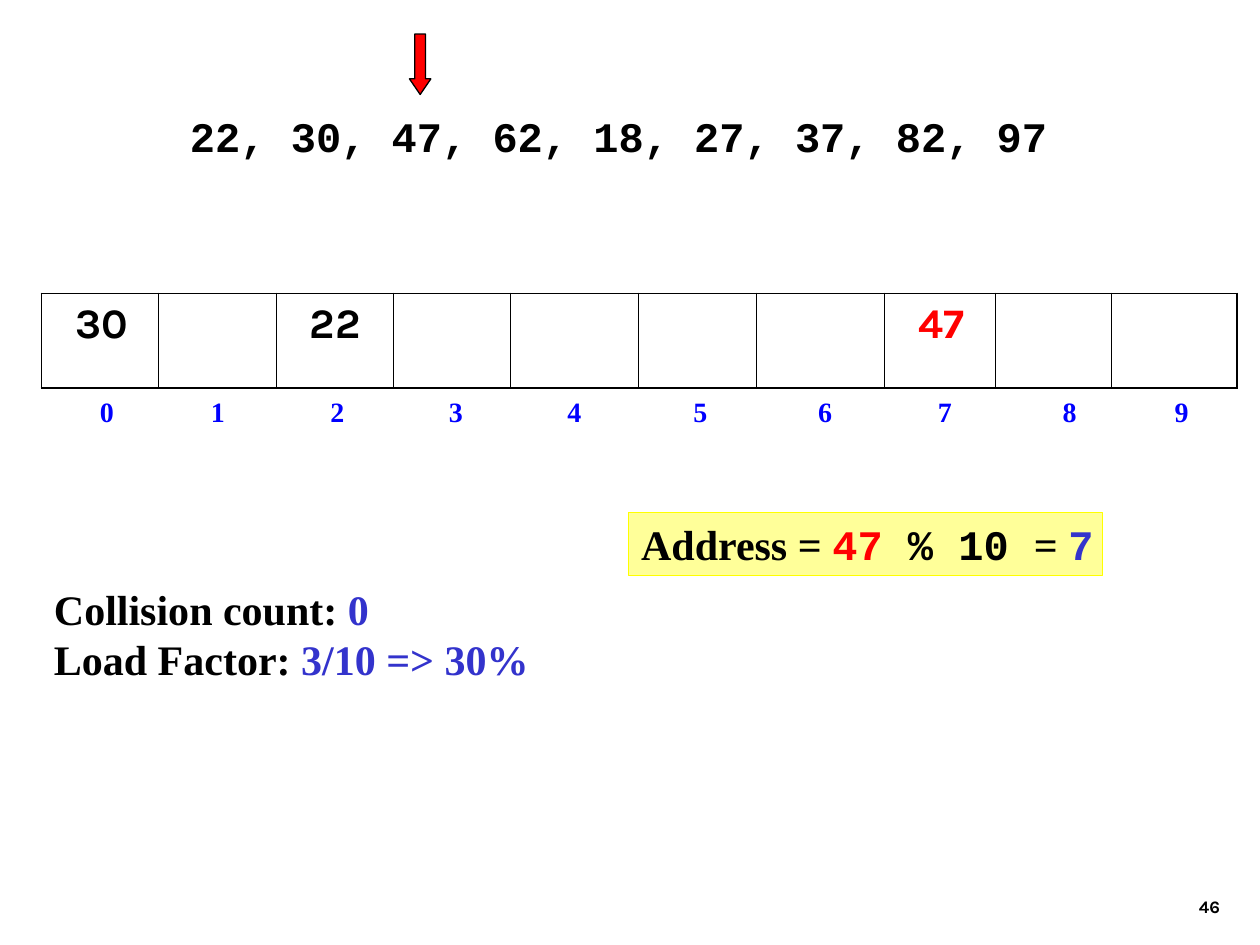
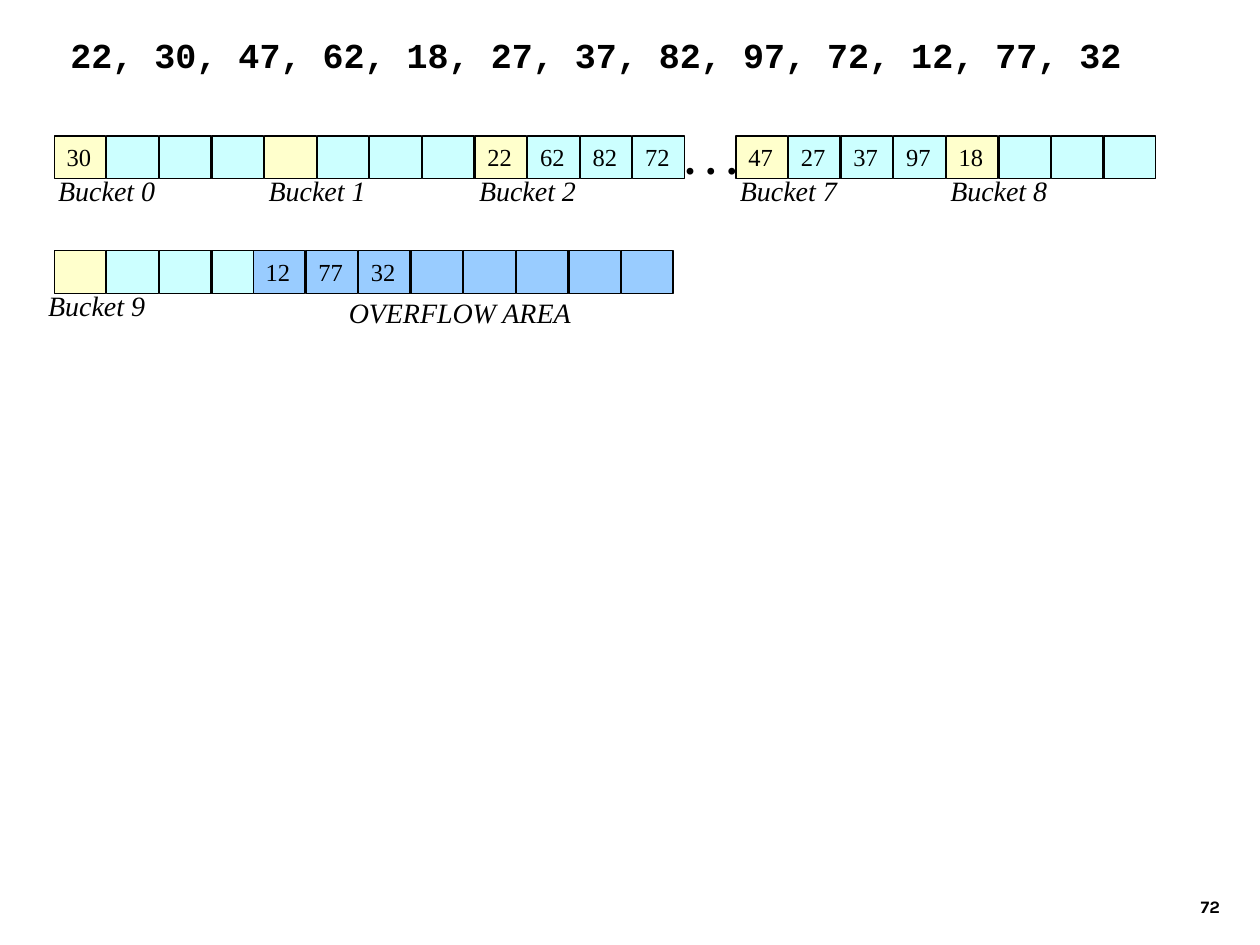
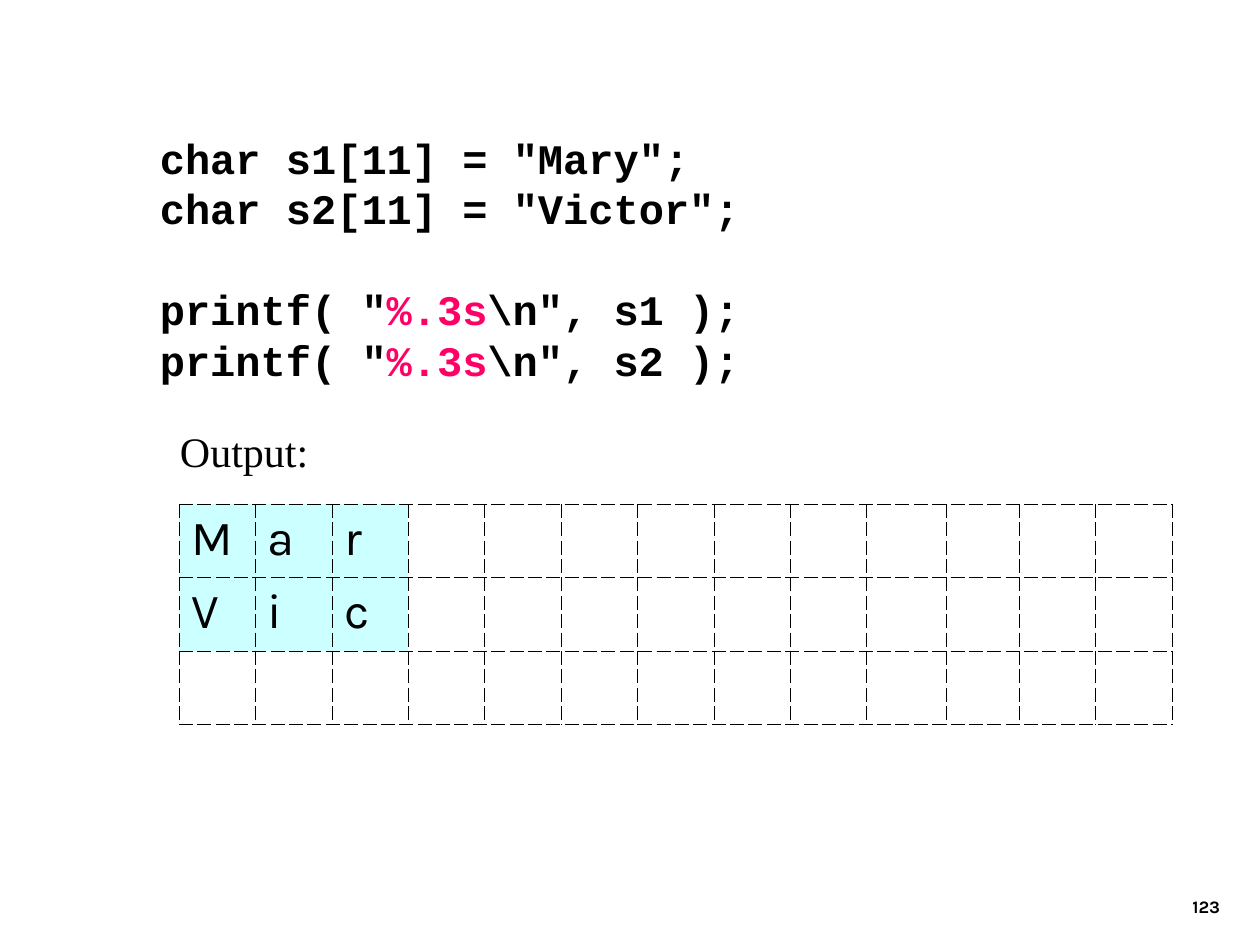
import pptx
import pptx.util
import pptx.dml.color
import pptx.enum.shapes
import pptx.enum.text
import pptx.oxml
import pptx.oxml.ns

Inches = pptx.util.Inches
Pt = pptx.util.Pt
RGBColor = pptx.dml.color.RGBColor
Shape = pptx.enum.shapes.MSO_SHAPE
Align = pptx.enum.text.PP_ALIGN
Anchor = pptx.enum.text.MSO_ANCHOR

BLACK = RGBColor(0x00, 0x00, 0x00)
WHITE = RGBColor(0xFF, 0xFF, 0xFF)
RED = RGBColor(0xFF, 0x00, 0x00)
BLUE = RGBColor(0x00, 0x00, 0xFF)
INDIGO = RGBColor(0x33, 0x33, 0xCC)
PINK = RGBColor(0xFF, 0x00, 0x66)
YELLOW = RGBColor(0xFF, 0xFF, 0x00)
LEMON = RGBColor(0xFF, 0xFF, 0x99)
CREAM = RGBColor(0xFF, 0xFF, 0xCC)
AQUA = RGBColor(0xCC, 0xFF, 0xFF)
SKY = RGBColor(0x99, 0xCC, 0xFF)

SERIF, MONO, SANS = "Times New Roman", "Courier New", "Karla"
PAGE = {"name": SANS, "size": Pt(10), "bold": True}
CODE = {"name": MONO, "size": Pt(24), "bold": True}
LIST = {**CODE, "size": Pt(20)}
FACT = {**CODE, "name": SERIF}
INDEX = {**FACT, "size": Pt(16)}
SLOT = {"name": SANS, "size": Pt(24), "bold": True}
CHAR = {"name": SANS, "size": Pt(28)}
PLAIN = {"name": SERIF, "size": Pt(24)}
KEY = {"name": SERIF, "size": Pt(14)}
LABEL = {"name": SERIF, "size": Pt(16), "italic": True}

CELL_W, CELL_H = 0.41, 0.34
SPAN = 1.67
STEP = SPAN / 4


def write(frame, lines, look, align=Align.LEFT, wrap=True, anchor=Anchor.TOP):
    for name, value in {"word_wrap": wrap, "vertical_anchor": anchor}.items():
        setattr(frame, name, value)
    for i, line in enumerate(lines):
        para = frame.paragraphs[0] if i == 0 else frame.add_paragraph()
        para.alignment = align
        for part in [line] if isinstance(line, str) else line:
            text, color, face = part if isinstance(part, tuple) else (part, BLACK, look["name"])
            run = para.add_run()
            run.text = text
            for name, value in {**look, "name": face}.items():
                setattr(run.font, name, value)
            run.font.color.rgb = color


def label(slide, box, lines, look, **rules):
    frame = slide.shapes.add_textbox(*map(Inches, box)).text_frame
    write(frame, lines, look, **rules)
    return frame


def block(slide, kind, box, fill, line=BLACK):
    shape = slide.shapes.add_shape(kind, *map(Inches, box))
    shape.shadow.inherit = False
    shape.fill.solid()
    shape.fill.fore_color.rgb = fill
    shape.line.color.rgb = line
    shape.line.width = Pt(0.75)
    return shape


def edge(side, width, dash):
    ns = pptx.oxml.ns.nsdecls("a")
    return pptx.oxml.parse_xml(
        f'<a:ln{side} {ns} w="{int(Pt(width))}"><a:solidFill><a:srgbClr val="{BLACK}"/>'
        f'</a:solidFill><a:prstDash val="{dash}"/></a:ln{side}>')


def grid(slide, left, top, cols, rows, thin, thick, dash):
    box = map(Inches, (left, top, sum(cols), sum(rows)))
    table = slide.shapes.add_table(len(rows), len(cols), *box).table
    table.first_row = table.horz_banding = False
    for col, width in zip(table.columns, cols):
        col.width = Inches(width)
    for row, height in zip(table.rows, rows):
        row.height = Inches(height)
    for r in range(len(rows)):
        for c in range(len(cols)):
            cell = table.cell(r, c)
            outer = {"L": c == 0, "R": c == len(cols) - 1,
                     "T": r == 0, "B": r == len(rows) - 1}
            for side, rim in outer.items():
                cell._tc.get_or_add_tcPr().append(
                    edge(side, thick if rim else thin, dash))
            cell.fill.solid()
            cell.fill.fore_color.rgb = WHITE
    return table


def number(slide, page):
    label(slide, (7.7, 6.83, 2.08, 0.5), [page], PAGE,
          align=Align.RIGHT, anchor=Anchor.BOTTOM)


def index(slide, box, stops):
    frame = slide.shapes.add_textbox(*map(Inches, box)).text_frame
    props = frame.paragraphs[0]._p.get_or_add_pPr()
    tabs = "".join(f'<a:tab pos="{int(Inches(s))}" algn="ctr"/>' for s in stops)
    ns = pptx.oxml.ns.nsdecls("a")
    props.append(pptx.oxml.parse_xml(f"<a:tabLst {ns}>{tabs}</a:tabLst>"))
    text = "".join(f"\t{i}" for i in range(len(stops)))
    write(frame, [[(text, BLUE, SERIF)]], INDEX)


def slots(slide, left, top, keys):
    cols = [0.93, 0.93, 0.93, 0.93, 1.02, 0.93, 1.02, 0.88, 0.92, 1]
    table = grid(slide, left, top, cols, [0.75], 0.45, 1.08, "solid")
    for i, (key, color) in keys.items():
        cell = table.cell(0, i)
        cell.margin_left = Inches(0.27)
        write(cell.text_frame, [[(key, color, SANS)]], SLOT)
    stops = [0.5, 1.38, 2.33, 3.27, 4.21, 5.21, 6.2, 7.15, 8.14, 9.03]
    index(slide, (left - 0.08, top + 0.75, 9.58, 0.64), stops)


def probe(slide):
    slots(slide, 0.33, 2.33, {0: ("30", BLACK), 2: ("22", BLACK), 7: ("47", RED)})
    label(slide, (1.41, 0.83, 7, 0.5), ["22, 30, 47, 62, 18, 27, 37, 82, 97"],
          CODE, wrap=False)
    arrow = block(slide, Shape.DOWN_ARROW, (3.25, 0.27, 0.17, 0.48), RED)
    arrow.adjustments[1] = 0.73
    label(slide, (0.33, 4.58, 3.97, 0.9),
          [["Collision count: ", ("0", INDIGO, SERIF)],
           ["Load Factor: ", ("3/10 => 30%", INDIGO, SERIF)]], FACT, wrap=False)
    note = block(slide, Shape.RECTANGLE, (4.99, 4.07, 3.76, 0.5), LEMON, YELLOW)
    write(note.text_frame,
          [["Address = ", ("47", RED, MONO), (" % 10 ", BLACK, MONO), "= ",
            ("7", INDIGO, MONO)]], FACT, wrap=False)


def cells(slide, left, top, keys, fills):
    for i, fill in enumerate(fills):
        box = (left + i * STEP, top, CELL_W, CELL_H)
        cell = block(slide, Shape.RECTANGLE, box, fill)
        if i < len(keys):
            write(cell.text_frame, [keys[i]], KEY)


def bucket(slide, left, top, num, keys, shift=0.1):
    cells(slide, left, top, keys, [CREAM] + [AQUA] * 3)
    label(slide, (left - shift, top + 0.25, 1, 0.37), [f"Bucket {num}"], LABEL,
          align=Align.RIGHT)


def chain(slide):
    label(slide, (0.46, 0.22, 8.72, 0.44),
          ["22, 30, 47, 62, 18, 27, 37, 82, 97, 72, 12, 77, 32"], LIST, wrap=False)
    runs = [(0.43, 0, [["30"], [], ["22", "62", "82", "72"]]),
            (5.84, 7, [["47", "27", "37", "97"], ["18"]])]
    for left, first, group in runs:
        for i, keys in enumerate(group):
            bucket(slide, left + i * SPAN, 1.08, first + i, keys)
    label(slide, (5.15, 1, 0.8, 0.5), [". . ."], FACT,
          align=Align.RIGHT, wrap=False)
    bucket(slide, 0.43, 1.99, 9, [], 0.18)
    cells(slide, 2.01, 1.99, ["12", "77", "32"], [SKY] * 8)
    label(slide, (2.67, 2.3, 2.33, 0.37), ["OVERFLOW AREA"], LABEL)


def screen(slide, left, top, words):
    col = (7.88 - 0.63 - 0.58) / 11
    cols = [col] * 9 + [0.63, 0.58] + [col] * 2
    table = grid(slide, left, top, cols, [1.75 / 3] * 3, 0.11, 0.11, "dash")
    for r, word in enumerate(words):
        for c, char in enumerate(word):
            cell = table.cell(r, c)
            cell.fill.fore_color.rgb = AQUA
            write(cell.text_frame, [char], CHAR)


def output(slide):
    prints = [['printf( "', ("%.3s", PINK, MONO), f'\\n", {name} );']
              for name in ("s1", "s2")]
    frame = label(slide, (1.17, 1, 6.92, 2.1),
                  ['char s1[11] = "Mary";', 'char s2[11] = "Victor";', *prints], CODE)
    frame.paragraphs[2].space_before = Pt(29)
    label(slide, (1.33, 3.33, 3.5, 0.5), ["Output:"], PLAIN)
    screen(slide, 1.42, 4, ["Mar", "Vic"])


def main():
    deck = pptx.Presentation()
    deck.slide_width, deck.slide_height = Inches(10), Inches(7.5)
    for draw, page in ((probe, "46"), (chain, "72"), (output, "123")):
        slide = deck.slides.add_slide(deck.slide_layouts[6])
        number(slide, page)
        draw(slide)
    deck.save("out.pptx")


if __name__ == "__main__":
    main()
